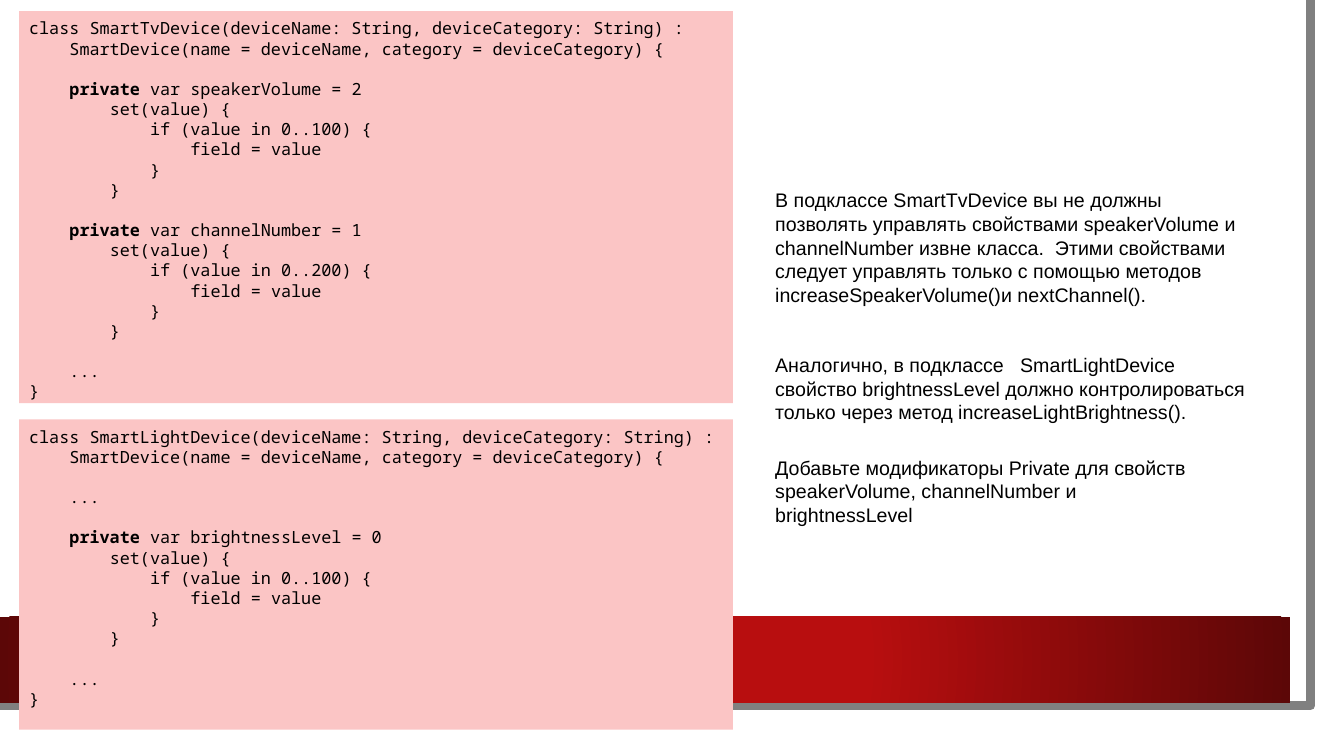
"""Build a slide on private setters in two Kotlin device subclasses."""
from dataclasses import dataclass

from lxml.etree import SubElement
from pptx import Presentation
from pptx.dml.color import RGBColor
from pptx.enum.shapes import MSO_SHAPE
from pptx.enum.text import MSO_ANCHOR, PP_ALIGN
from pptx.oxml.ns import qn
from pptx.util import Inches, Pt


@dataclass(frozen=True)
class Theme:
    ink = RGBColor.from_string("000000")
    code_panel = RGBColor.from_string("FBC5C5")
    edge = RGBColor.from_string("808080")
    band_center = RGBColor.from_string("B80E0F")
    band_rim = RGBColor.from_string("5C0707")
    code_font = "Noto Sans Mono"
    code_size = Pt(12)
    code_line = Pt(14.4)
    code_indent = Inches(0.4)
    prose_font = "Arial"
    prose_size = Pt(14)


TV_CODE = """class SmartTvDevice(deviceName: String, deviceCategory: String) :
    SmartDevice(name = deviceName, category = deviceCategory) {

    private var speakerVolume = 2
        set(value) {
            if (value in 0..100) {
                field = value
            }
        }

    private var channelNumber = 1
        set(value) {
            if (value in 0..200) {
                field = value
            }
        }

    ...
}"""

LIGHT_CODE = """class SmartLightDevice(deviceName: String, deviceCategory: String) :
    SmartDevice(name = deviceName, category = deviceCategory) {

    ...

    private var brightnessLevel = 0
        set(value) {
            if (value in 0..100) {
                field = value
            }
        }

    ...
}"""

ACCESS_RULES = (
    "В подклассе SmartTvDevice вы не должны позволять управлять свойствами "
    "speakerVolume и channelNumber извне класса.  Этими свойствами следует "
    "управлять только с помощью методов increaseSpeakerVolume()и nextChannel().\n"
    "Аналогично, в подклассе   SmartLightDevice свойство brightnessLevel должно "
    "контролироваться только через метод increaseLightBrightness()."
)
TASK = (
    "Добавьте модификаторы Private для свойств speakerVolume, "
    "channelNumber и brightnessLevel"
)


def style_run(run, font, size):
    run.font.name = font
    run.font.size = size
    run.font.color.rgb = Theme.ink


def add_rectangle(shapes, left, top, width, height):
    rectangle = shapes.add_shape(
        MSO_SHAPE.RECTANGLE, Inches(left), Inches(top), Inches(width), Inches(height)
    )
    rectangle.shadow.inherit = False
    rectangle.line.fill.background()
    return rectangle


deck = Presentation()
deck.slide_width, deck.slide_height = Inches(13.33), Inches(7.5)
slide = deck.slides.add_slide(deck.slide_layouts[6])

edge_path = slide.shapes.build_freeform(12.82, 0, scale=Inches(1))
edge_path.add_line_segments([(12.85, 7.02), (0, 7.01)], close=False)
page_edge = edge_path.convert_to_shape()
page_edge.shadow.inherit = False
page_edge.fill.background()
page_edge.line.color.rgb = Theme.edge
page_edge.line.width = Pt(6.5)

band = add_rectangle(slide.shapes, 0, 6.12, 12.8, 0.85)
band.fill.gradient()
band_stops = zip(
    band.fill.gradient_stops, (0.34, 1), (Theme.band_center, Theme.band_rim)
)
for stop, position, color in band_stops:
    stop.position = position
    stop.color.rgb = color
gradient = band._element.spPr.find(qn("a:gradFill"))
gradient.remove(gradient.find(qn("a:lin")))
radial = SubElement(gradient, qn("a:path"), path="circle")
SubElement(radial, qn("a:fillToRect"), dict.fromkeys("ltrb", "50000"))

for code, top, height in ((TV_CODE, 0.11, 3.89), (LIGHT_CODE, 4.16, 3.08)):
    panel = add_rectangle(slide.shapes, 0.19, top, 7.08, height)
    panel.fill.solid()
    panel.fill.fore_color.rgb = Theme.code_panel
    frame = panel.text_frame
    frame.word_wrap = True
    frame.vertical_anchor = MSO_ANCHOR.TOP
    frame.margin_top, frame.margin_bottom = Inches(0.07), 0
    paragraph = frame.paragraphs[0]
    gap_above = False
    for number, line in enumerate(code.split("\n")):
        statement = line.lstrip()
        if not statement:
            gap_above = True
            continue
        if number:
            paragraph = frame.add_paragraph()
        depth = (len(line) - len(statement)) // 4
        paragraph.alignment = PP_ALIGN.LEFT
        paragraph.space_before = Theme.code_line if gap_above else Pt(0)
        paragraph._p.get_or_add_pPr().set("marL", str(depth * Theme.code_indent))
        gap_above = False
        _, keyword, rest = statement.rpartition("private")
        for part in filter(None, (keyword, rest)):
            run = paragraph.add_run()
            run.text = part
            style_run(run, Theme.code_font, Theme.code_size)
            run.font.bold = part == "private"

for prose, top, width, height in ((ACCESS_RULES, 1.82, 4.93, 2.46), (TASK, 4.47, 4.38, 0.81)):
    note = slide.shapes.add_textbox(
        Inches(7.59), Inches(top), Inches(width), Inches(height)
    )
    note.text_frame.word_wrap = True
    note.text_frame.text = prose
    for index, paragraph in enumerate(note.text_frame.paragraphs):
        paragraph.space_before = Pt(33.6 * index)
        for run in paragraph.runs:
            style_run(run, Theme.prose_font, Theme.prose_size)

deck.save("out.pptx")
